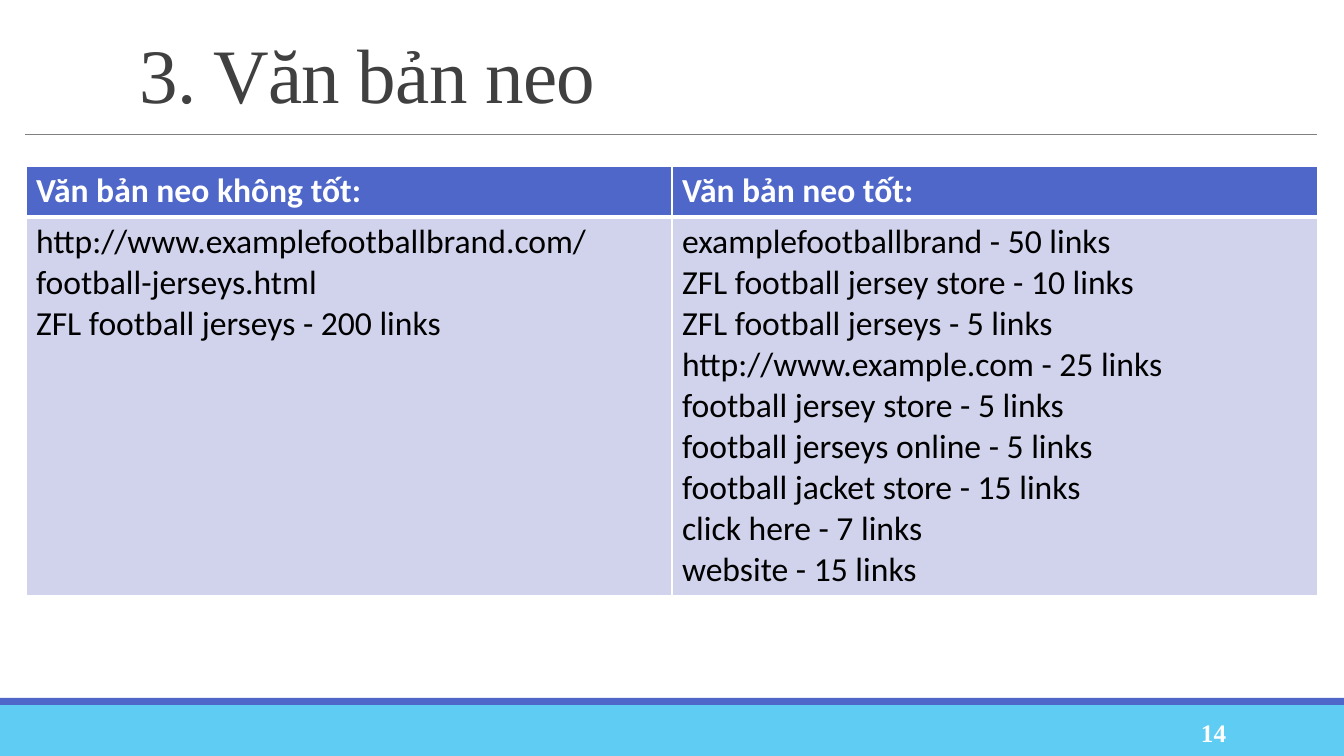
from lxml.etree import SubElement
from pptx import Presentation
from pptx.dml.color import RGBColor
from pptx.enum.shapes import MSO_CONNECTOR, MSO_SHAPE
from pptx.enum.text import MSO_ANCHOR, PP_ALIGN
from pptx.oxml.ns import qn
from pptx.util import Emu, Pt

COLORS = {
    "white": "FFFFFF", "black": "000000", "title": "404040", "rule": "808080",
    "sky": "5ECCF3", "indigo": "4E67C8", "lavender": "D0D3EB",
}
BAD_ANCHORS = [
    "http://www.examplefootballbrand.com/football-jerseys.html",
    "ZFL football jerseys - 200 links",
]
GOOD_ANCHORS = [
    "examplefootballbrand - 50 links",
    "ZFL football jersey store - 10 links",
    "ZFL football jerseys - 5 links",
    "http://www.example.com - 25 links",
    "football jersey store - 5 links",
    "football jerseys online - 5 links",
    "football jacket store - 15 links",
    "click here - 7 links",
    "website - 15 links",
]
ROWS = [
    [["Văn bản neo không tốt:"], ["Văn bản neo tốt:"]],
    [BAD_ANCHORS, GOOD_ANCHORS],
]


def px(length):
    """Convert pixels to EMU at 100.8 pixels to the inch."""
    return Emu(round(length * 914400 / 100.8))


def color(key):
    """Look up a palette colour."""
    return RGBColor.from_string(COLORS[key])


def style(paragraph, size, face, ink, bold=False):
    """Format the runs of a paragraph."""
    for run in paragraph.runs:
        run.font.size = Pt(size)
        run.font.name = face
        run.font.bold = bold
        run.font.color.rgb = color(ink)


def add_band(slide, top, height, fill):
    """Draw a full-width footer band."""
    band = slide.shapes.add_shape(MSO_SHAPE.RECTANGLE, 0, px(top), px(1344), px(height))
    band.shadow.inherit = False
    band.fill.solid()
    band.fill.fore_color.rgb = color(fill)
    band.line.fill.background()


def add_rule(slide, left, right, top):
    """Draw the thin rule below the title."""
    rule = slide.shapes.add_connector(
        MSO_CONNECTOR.STRAIGHT, px(left), px(top), px(right), px(top))
    rule.line.color.rgb = color("rule")
    rule.line.width = Pt(0.5)
    SubElement(rule._element.spPr, qn("a:effectLst"))


def add_label(slide, text, box, size, ink, anchor, bold=False):
    """Add a one-line serif label and return its paragraph."""
    frame = slide.shapes.add_textbox(*map(px, box)).text_frame
    frame.word_wrap = True
    frame.vertical_anchor = anchor
    frame.text = text
    label = frame.paragraphs[0]
    style(label, size, "Times New Roman", ink, bold)
    return label


def add_borders(cell, bottom):
    """Give a cell white borders, with its own bottom width in points."""
    properties = cell._tc.get_or_add_tcPr()
    widths = {"a:lnL": 1, "a:lnR": 1, "a:lnT": 1, "a:lnB": bottom}
    for position, (side, width) in enumerate(widths.items()):
        border = SubElement(properties, qn(side), w=str(Pt(width)))
        fill = SubElement(border, qn("a:solidFill"))
        SubElement(fill, qn("a:srgbClr"), val=COLORS["white"])
        properties.insert(position, border)


def add_comparison(slide, left, top, column_width, row_heights):
    """Add the table that compares poor and good anchor texts."""
    table = slide.shapes.add_table(
        2, 2, px(left), px(top), px(2 * column_width), px(sum(row_heights))).table
    for column in table.columns:
        column.width = px(column_width)
    for index, (row, height) in enumerate(zip(table.rows, row_heights)):
        row.height = px(height)
        header = index == 0
        for cell, lines in zip(row.cells, ROWS[index]):
            cell.fill.solid()
            cell.fill.fore_color.rgb = color("indigo" if header else "lavender")
            add_borders(cell, 3 if header else 1)
            cell.text_frame.text = "\n".join(lines)
            for paragraph in cell.text_frame.paragraphs:
                style(paragraph, 24, "Calibri", "white" if header else "black", header)


def main():
    """Build the slide and save it."""
    deck = Presentation()
    deck.slide_width, deck.slide_height = px(1344), px(756)
    slide = deck.slides.add_slide(deck.slide_layouts[6])
    add_band(slide, 705, 51, "sky")
    add_band(slide, 698, 7, "indigo")
    add_rule(slide, 25, 1317, 134)
    title = add_label(slide, "3. Văn bản neo", (130, 31, 1187, 97), 55, "title",
                      MSO_ANCHOR.MIDDLE)
    title.line_spacing = 0.85
    title.runs[0].font._element.set("spc", "-50")
    number = add_label(slide, "14", (1092, 712, 144, 40), 18, "white",
                       MSO_ANCHOR.MIDDLE, bold=True)
    number.alignment = PP_ALIGN.RIGHT
    add_comparison(slide, 26, 166, 646, (51, 379))
    deck.save("out.pptx")


if __name__ == "__main__":
    main()
